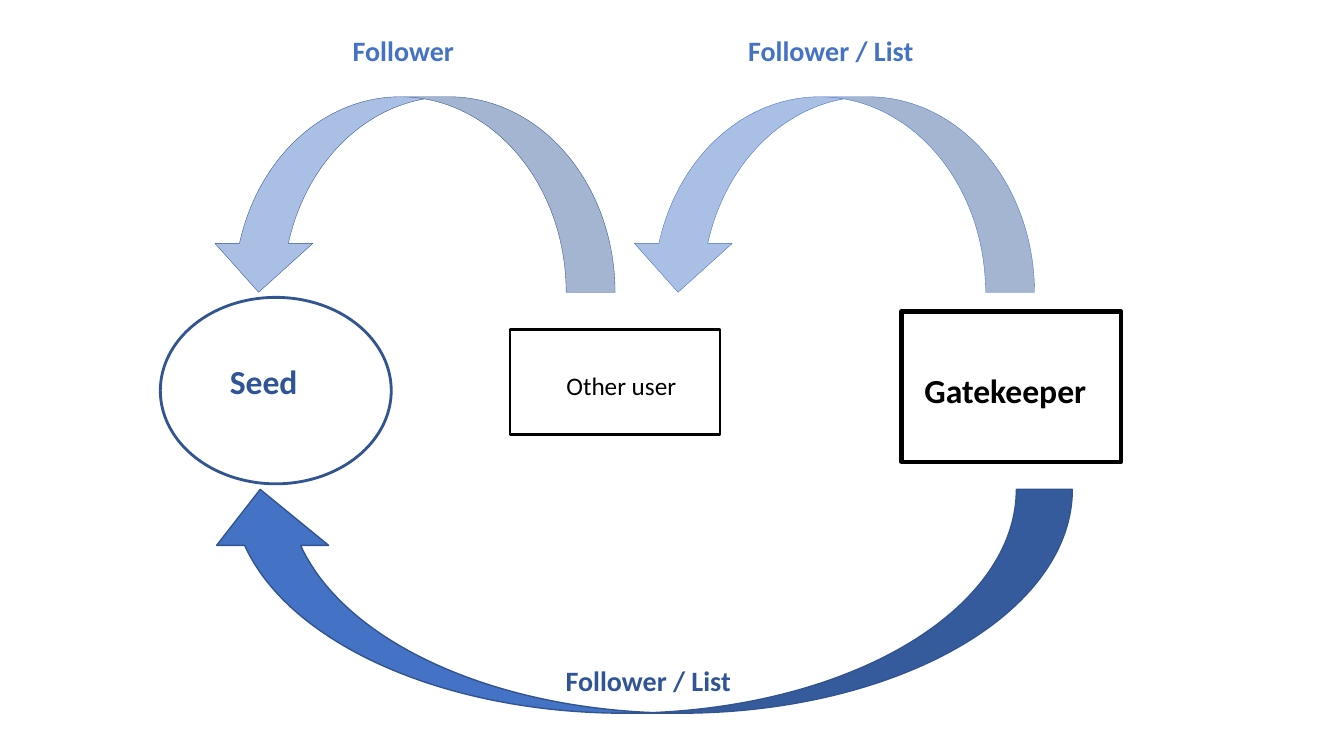
from lxml.etree import SubElement
from pptx import Presentation
from pptx.dml.color import RGBColor
from pptx.enum.shapes import MSO_SHAPE as Preset
from pptx.enum.text import MSO_AUTO_SIZE as AutoSize, PP_ALIGN as Align
from pptx.oxml.ns import qn
from pptx.util import Inches, Pt

BLACK = "000000"
BLUE = "4472C4"
DARK_BLUE = "2F5597"
OUTLINE_BLUE = "325491"


def set_color(color_format, value):
    color_format.rgb = RGBColor.from_string(value)


def add_outlined(slide, preset, box, line_color, line_width):
    shape = slide.shapes.add_shape(preset, *map(Inches, box))
    shape.shadow.inherit = False
    shape.fill.background()
    set_color(shape.line.color, line_color)
    shape.line.width = Pt(line_width)
    return shape


def add_arrow(slide, preset, box, rotation, line_color, line_width, opacity=100):
    """Add a filled curved arrow; opacity is in percent."""
    arrow = add_outlined(slide, preset, box, line_color, line_width)
    arrow.rotation = rotation
    arrow.fill.solid()
    set_color(arrow.fill.fore_color, BLUE)
    if opacity < 100:
        color = arrow._element.spPr.find(qn("a:solidFill")).find(qn("a:srgbClr"))
        SubElement(color, qn("a:alpha"), val=str(opacity * 1000))


def add_label(slide, text, box, size, color, bold=True, align=Align.CENTER, wrap=True):
    frame = slide.shapes.add_textbox(*map(Inches, box)).text_frame
    frame.word_wrap = wrap
    frame.auto_size = AutoSize.SHAPE_TO_FIT_TEXT
    paragraph = frame.paragraphs[0]
    paragraph.text = text
    paragraph.alignment = align
    font = paragraph.font
    font.name = "Calibri"
    font.size = Pt(size)
    font.bold = bold
    set_color(font.color, color)


def main():
    presentation = Presentation()
    presentation.slide_width = Inches(13.33)
    presentation.slide_height = Inches(7.5)
    slide = presentation.slides.add_slide(presentation.slide_layouts[6])

    add_outlined(slide, Preset.OVAL, (1.59, 2.95, 2.29, 1.85), OUTLINE_BLUE, 2)
    add_label(slide, "Seed", (2.02, 3.53, 1.19, 0.5), 24, DARK_BLUE)
    add_outlined(slide, Preset.RECTANGLE, (8.94, 3.09, 2.18, 1.49), BLACK, 3)
    add_label(slide, "Gatekeeper", (9.07, 3.62, 1.9, 0.5), 24, BLACK,
              align=Align.LEFT, wrap=False)
    add_outlined(slide, Preset.RECTANGLE, (5.06, 3.27, 2.08, 1.04), BLACK, 1.75)
    add_label(slide, "Other user", (5.52, 3.62, 1.3, 0.4), 18, BLACK,
              bold=False, align=Align.LEFT, wrap=False)

    for left, line_color in ((2.08, OUTLINE_BLUE), (6.24, BLUE)):
        add_arrow(slide, Preset.CURVED_UP_ARROW, (left, 0.96, 4.02, 1.94), 180,
                  line_color, 0.25, opacity=45)
    add_arrow(slide, Preset.CURVED_LEFT_ARROW, (5.22, 1.66, 2.22, 8.61), 90,
              OUTLINE_BLUE, 1)

    for text, left, top, color in (
        ("Follower", 2.92, 0.28, BLUE),
        ("Follower / List", 7.16, 0.28, BLUE),
        ("Follower / List", 5.35, 6.53, DARK_BLUE),
    ):
        add_label(slide, text, (left, top, 2.16, 0.44), 20, color)

    presentation.save("out.pptx")


if __name__ == "__main__":
    main()
